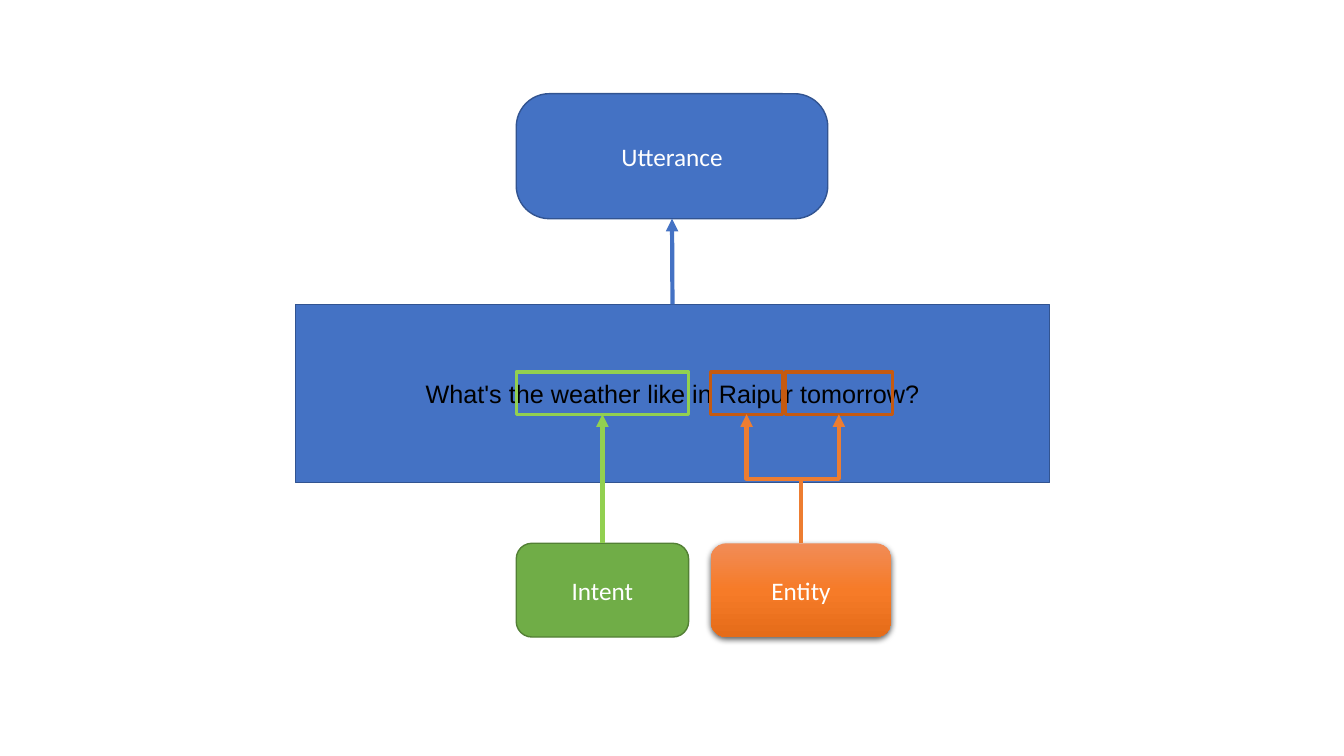
from pptx import Presentation, util as u
from pptx.dml import color
from pptx.enum import shapes, text
from pptx.oxml import ns, parse_xml

RECT = shapes.MSO_SHAPE.RECTANGLE
ROUND = shapes.MSO_SHAPE.ROUNDED_RECTANGLE


def rgb(value):
    """Return the colour for a hex string."""
    return color.RGBColor.from_string(value)


def add_box(s, kind, at, fill=None, line=None, width=1.0):
    """Add a shape with an optional fill and outline."""
    sp = s.shapes.add_shape(kind, *map(u.Inches, at))
    sp.shadow.inherit = False
    for fmt, value in ((sp.fill, fill), (sp.line.fill, line)):
        if value:
            fmt.solid()
            fmt.fore_color.rgb = rgb(value)
        else:
            fmt.background()
    if line:
        sp.line.width = u.Pt(width)
    return sp


def add_label(sp, words, font="Calibri", ink="FFFFFF"):
    """Write centred text in a shape."""
    tf = sp.text_frame
    tf.word_wrap = True
    tf.vertical_anchor = text.MSO_ANCHOR.MIDDLE
    p = tf.paragraphs[0]
    p.alignment = text.PP_ALIGN.CENTER
    r = p.add_run()
    r.text = words
    for name, value in {"name": font, "size": u.Pt(18)}.items():
        setattr(r.font, name, value)
    r.font.color.rgb = rgb(ink)


def add_gradient(sp, stops):
    """Fill a shape with a downward gradient."""
    gs = "".join(
        f'<a:gs pos="{pos * 1000}"><a:srgbClr val="{value}"/></a:gs>'
        for pos, value in stops
    )
    spPr = sp._element.spPr
    spPr.replace(spPr.find(ns.qn("a:noFill")), parse_xml(
        f'<a:gradFill {ns.nsdecls("a")} rotWithShape="1"><a:gsLst>{gs}</a:gsLst>'
        '<a:lin ang="5400000" scaled="0"/></a:gradFill>'
    ))


def add_shadow(sp):
    """Give a shape a soft shadow below it."""
    sp._element.spPr.find(ns.qn("a:effectLst")).append(parse_xml(
        f'<a:outerShdw {ns.nsdecls("a")} blurRad="{u.Pt(4.5)}" dist="{u.Pt(1.5)}" '
        'dir="5400000" algn="ctr" rotWithShape="0"><a:srgbClr val="000000">'
        '<a:alpha val="63000"/></a:srgbClr></a:outerShdw>'
    ))


def add_arrow(s, lower, upper, ink, elbow=False):
    """Point an arrow from the top of one shape to the bottom of another."""
    x1, y1 = lower.left + lower.width // 2, lower.top
    x2, y2 = upper.left + upper.width // 2, upper.top + upper.height
    if elbow:
        cx, cy = (x1 + x2) // 2, (y1 + y2) // 2
        dx, dy = x1 - cx, y1 - cy
        cxn = s.shapes.add_connector(
            shapes.MSO_CONNECTOR.ELBOW, cx - dy, cy + dx, cx + dy, cy - dx
        )
        cxn.rotation = 270
    else:
        cxn = s.shapes.add_connector(shapes.MSO_CONNECTOR.STRAIGHT, x1, y1, x2, y2)
        cxn.begin_connect(lower, 0)
        cxn.end_connect(upper, 2)
    cxn.line.color.rgb = rgb(ink)
    cxn.line.width = u.Pt(3)
    cxn.line._get_or_add_ln().append(
        parse_xml(f'<a:tailEnd {ns.nsdecls("a")} type="triangle"/>')
    )
    cxn._element.spPr.append(parse_xml(f'<a:effectLst {ns.nsdecls("a")}/>'))


def main():
    """Build the utterance diagram."""
    prs = Presentation()
    prs.slide_width, prs.slide_height = u.Inches(13.33), u.Inches(7.5)
    s = prs.slides.add_slide(prs.slide_layouts[6])

    sentence = add_box(s, RECT, (2.93, 3.02, 7.48, 1.77), "4472C4", "325491")
    add_label(sentence, "What's the weather like in Raipur tomorrow?", "Arial", "000000")
    phrase, place, day = [
        add_box(s, RECT, (left, 3.69, width, 0.42), line=line, width=2.25)
        for left, width, line in (
            (5.12, 1.71, "92D050"), (7.05, 0.71, "C55A11"), (7.79, 1.06, "C55A11")
        )
    ]

    utterance = add_box(s, ROUND, (5.12, 0.93, 3.09, 1.24), "4472C4", "325491")
    utterance.adjustments[0] = 0.265
    intent = add_box(s, ROUND, (5.12, 5.39, 1.71, 0.93), "70AD47", "538035")
    entity = add_box(s, ROUND, (7.05, 5.39, 1.79, 0.93))
    add_gradient(entity, ((0, "F18C57"), (50, "F67B28"), (100, "E56C19")))
    add_shadow(entity)
    for sp, words in ((utterance, "Utterance"), (intent, "Intent"), (entity, "Entity")):
        add_label(sp, words)

    add_arrow(s, sentence, utterance, "4472C4")
    add_arrow(s, intent, phrase, "92D050")
    for target in (day, place):
        add_arrow(s, entity, target, "ED7D31", elbow=True)

    prs.save("out.pptx")


if __name__ == "__main__":
    main()
